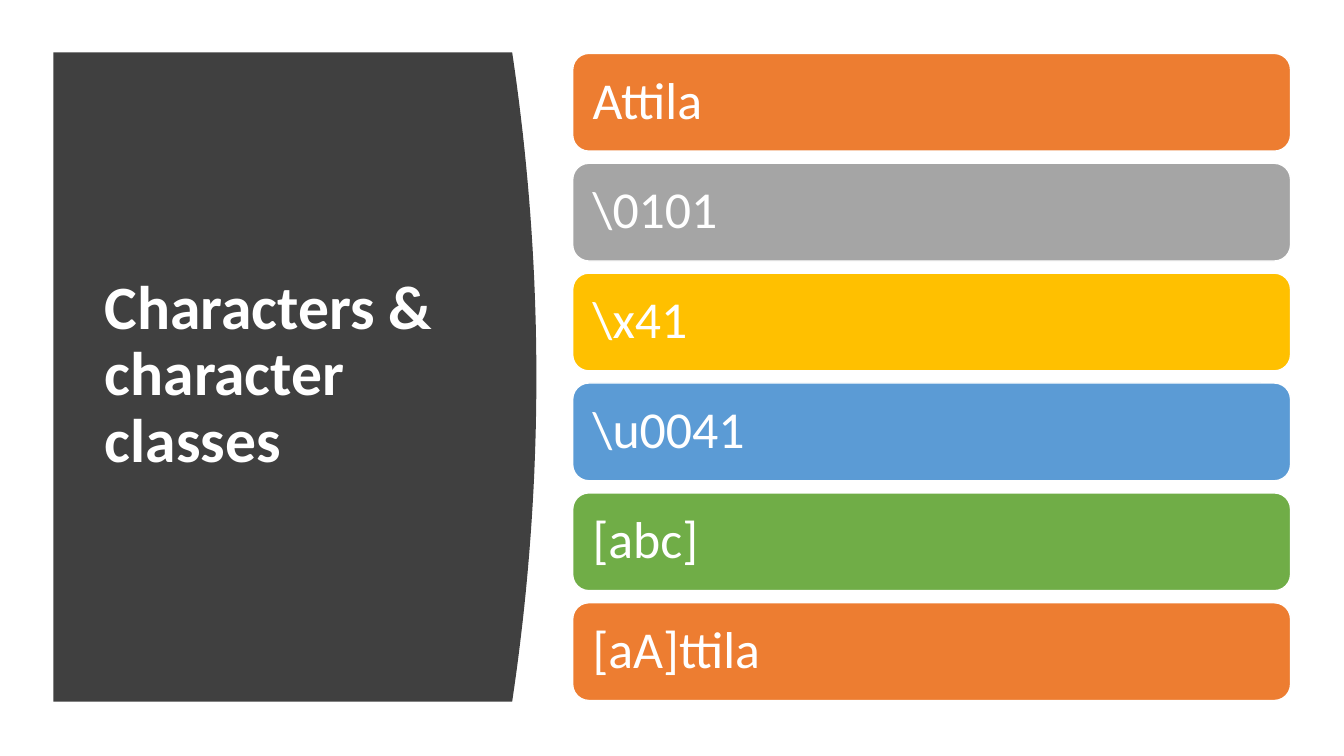
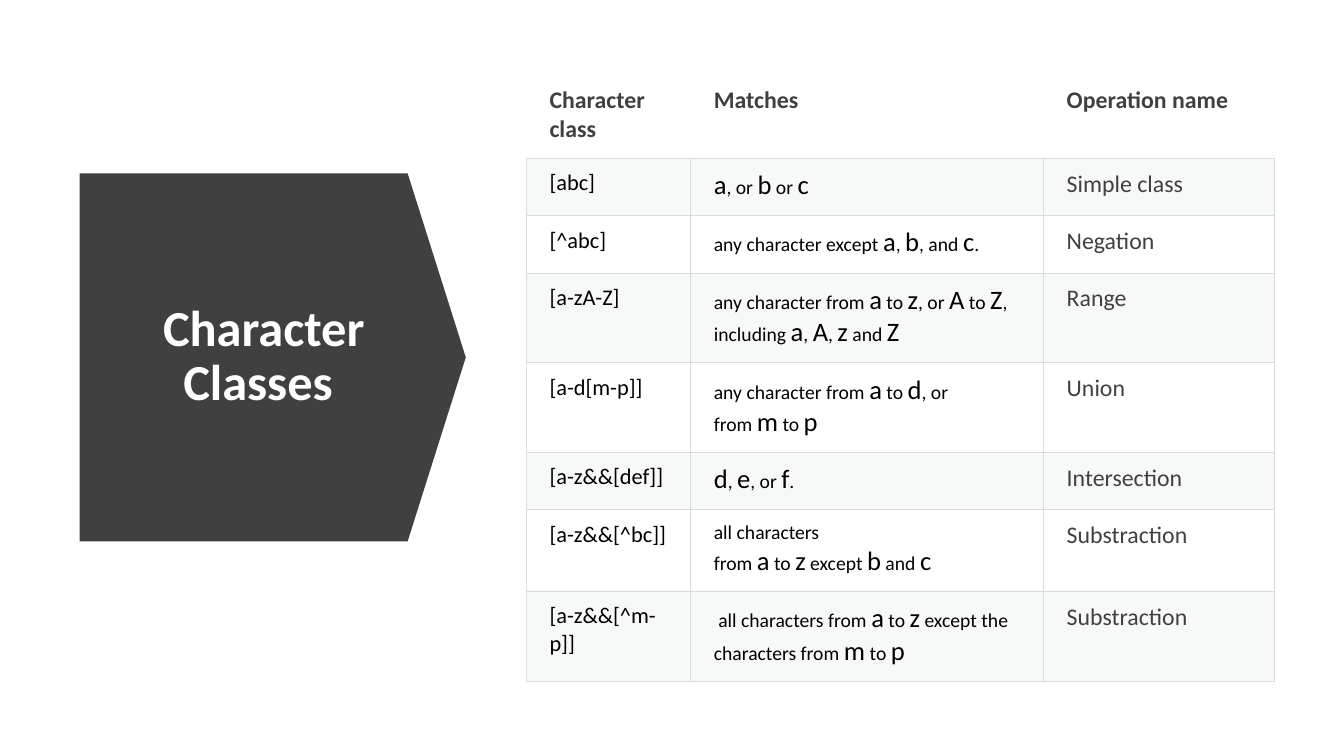
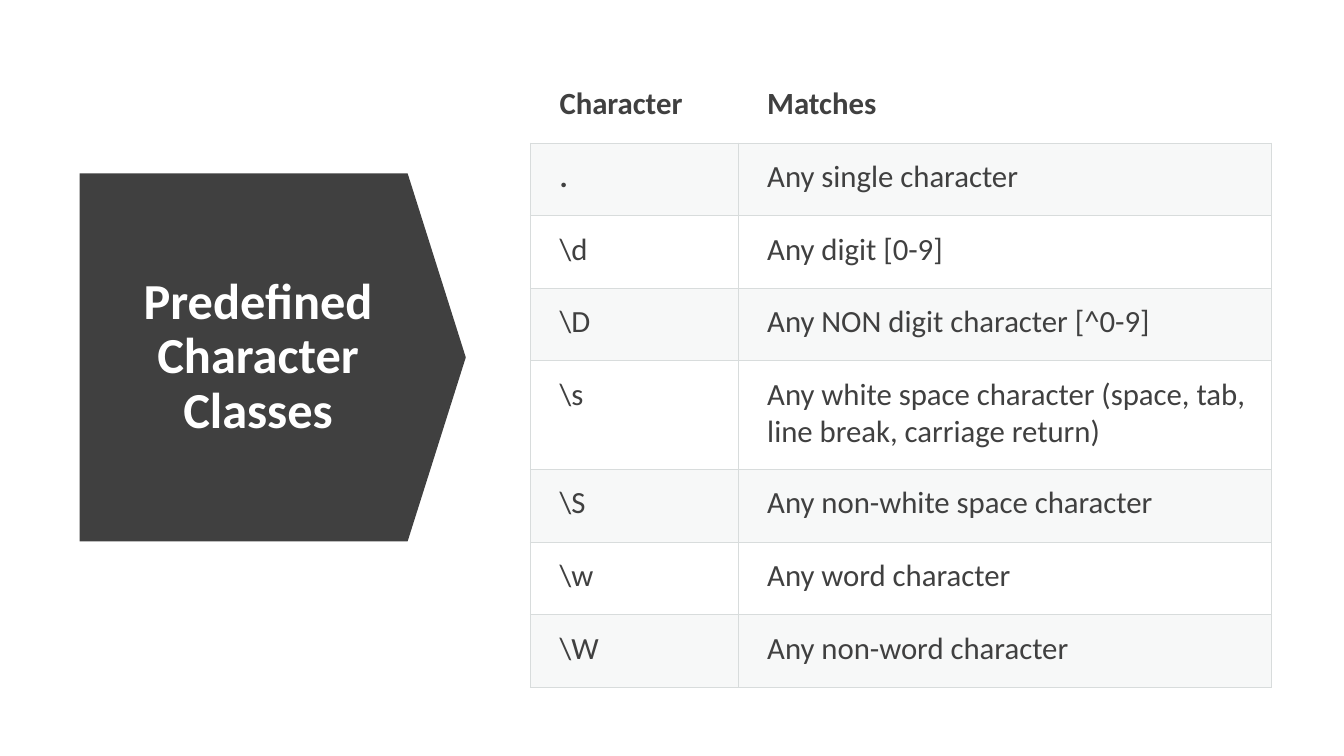
from dataclasses import dataclass

from lxml.etree import SubElement
from pptx import Presentation
from pptx.dml.color import RGBColor as RGB
from pptx.enum.shapes import MSO_SHAPE as SHAPE
from pptx.enum.text import MSO_ANCHOR as ANCHOR, MSO_AUTO_SIZE as AUTO, PP_ALIGN as ALIGN
from pptx.oxml.ns import qn
from pptx.util import Inches, Pt


@dataclass(frozen=True)
class Ink:
    """Size, colour and weight of a run."""
    size: int
    color: str
    bold: bool = False


@dataclass(frozen=True)
class Theme:
    """Colours and type styles shared by the slides."""
    font: str = "Calibri"
    white: str = "FFFFFF"
    dark: str = "404040"
    rule: str = "D8DCDC"
    band: str = "D8DEDC"
    band_alpha: int = 20000
    accents: tuple = ("ED7D31", "A5A5A5", "FFC000", "5B9BD5", "70AD47")
    panel_title: Ink = Ink(44, "FFFFFF", True)
    arrow_title: Ink = Ink(36, "FFFFFF", True)
    bar: Ink = Ink(37, "FFFFFF")
    code: Ink = Ink(16, "000000")
    prose: Ink = Ink(14, "000000")
    letter: Ink = Ink(19, "000000")
    label: Ink = Ink(17, "404040")
    label_head: Ink = Ink(17, "404040", True)
    entry: Ink = Ink(22, "404040")
    entry_bold: Ink = Ink(22, "404040", True)


class Deck:
    """Holds the theme and the current slide, and draws elements on it."""

    def __init__(self, theme):
        """Start an empty widescreen presentation."""
        self.theme = theme
        self.prs = Presentation()
        self.prs.slide_width, self.prs.slide_height = Inches(13.33), Inches(7.5)
        self.slide = None

    def add_slide(self):
        """Add a title-only slide and make it current."""
        self.slide = self.prs.slides.add_slide(self.prs.slide_layouts[5])

    def ink(self, r, ink):
        """Format a run."""
        r.font.name, r.font.size, r.font.bold = self.theme.font, Pt(ink.size), ink.bold
        r.font.color.rgb = RGB.from_string(ink.color)

    def paint(self, sp, color, line=None):
        """Give a shape a flat fill and an optional outline."""
        sp.shadow.inherit = False
        sp.fill.solid()
        sp.fill.fore_color.rgb = RGB.from_string(color)
        if line:
            sp.line.color.rgb = RGB.from_string(line)
            sp.line.width = Pt(1)
        else:
            sp.line.fill.background()

    def set_text(self, sp, text, ink, align):
        """Set one tightly spaced, vertically centred paragraph."""
        tf = sp.text_frame
        tf.word_wrap, tf.auto_size, tf.vertical_anchor = True, AUTO.NONE, ANCHOR.MIDDLE
        tf.text = text
        p = tf.paragraphs[0]
        p.alignment, p.line_spacing = align, 0.9
        self.ink(p.runs[0], ink)

    def title(self, text, box, ink, align):
        """Place the title placeholder in front of the shapes drawn so far."""
        sp = self.slide.shapes.title
        sp.left, sp.top, sp.width, sp.height = map(Inches, box)
        self.slide.shapes._spTree.append(sp._element)
        self.set_text(sp, text, ink, align)

    def curved_panel(self, left, top, right, bottom, bulge, steps=40):
        """Draw a dark panel whose right side bows outwards."""
        def edge(i):
            t = i / steps
            return Inches(right + bulge * (1 - (2 * t - 1) ** 2)), Inches(top + (bottom - top) * t)

        fb = self.slide.shapes.build_freeform(Inches(left), Inches(top))
        fb.add_line_segments([edge(i) for i in range(steps + 1)] + [(Inches(left), Inches(bottom))])
        self.paint(fb.convert_to_shape(), self.theme.dark)

    def title_arrow(self, text):
        """Draw the dark arrow block with its title."""
        sp = self.slide.shapes.add_shape(
            SHAPE.DOWN_ARROW, Inches(0.88), Inches(1.63), Inches(3.65), Inches(3.83))
        sp.rotation = 270
        sp.adjustments[0], sp.adjustments[1] = 1, 0.158
        self.paint(sp, self.theme.dark)
        self.title(text, (1.12, 2.15, 2.88, 2.79), self.theme.arrow_title, ALIGN.CENTER)

    def bars(self, texts, left, top, width, height, pitch):
        """Stack rounded bars, cycling through the accent colours."""
        accents = self.theme.accents
        for i, text in enumerate(texts):
            sp = self.slide.shapes.add_shape(
                SHAPE.ROUNDED_RECTANGLE, Inches(left), Inches(top + i * pitch),
                Inches(width), Inches(height))
            self.paint(sp, accents[i % len(accents)], self.theme.white)
            sp.text_frame.margin_left = sp.text_frame.margin_right = Inches(0.15)
            self.set_text(sp, text, self.theme.bar, ALIGN.LEFT)

    def cell_style(self, cell, head, banded):
        """Set the rules and the fill of a table cell."""
        tcPr = cell._tc.get_or_add_tcPr()
        for tag in ("a:lnL", "a:lnR", "a:lnT", "a:lnB"):
            ln = SubElement(tcPr, qn(tag), w=str(Pt(0.75)))
            if head and tag != "a:lnB":
                SubElement(ln, qn("a:noFill"))
            else:
                SubElement(SubElement(ln, qn("a:solidFill")), qn("a:srgbClr"), val=self.theme.rule)
        if banded:
            cell.fill.solid()
            cell.fill.fore_color.rgb = RGB.from_string(self.theme.band)
            clr = tcPr.find(qn("a:solidFill")).find(qn("a:srgbClr"))
            SubElement(clr, qn("a:alpha"), val=str(self.theme.band_alpha))
        else:
            cell.fill.background()

    def table(self, rows, left, top, widths, heights, insets, head_ink, inks):
        """Draw a banded table; *marked* text takes the second ink, ~ is a hard space."""
        table = self.slide.shapes.add_table(
            len(rows), len(widths), Inches(left), Inches(top),
            Inches(sum(widths)), Inches(sum(heights))).table
        table.first_row = table.horz_banding = False
        for col, width in zip(table.columns, widths):
            col.width = Inches(width)
        for i, (texts, height) in enumerate(zip(rows, heights)):
            table.rows[i].height = Inches(height)
            for j, text in enumerate(texts):
                cell = table.cell(i, j)
                self.cell_style(cell, i == 0, i % 2 == 1)
                cell.margin_left = Inches(insets[0])
                cell.margin_top = cell.margin_right = cell.margin_bottom = Inches(insets[1])
                pair = inks[j] if i else (head_ink, head_ink)
                p = cell.text_frame.paragraphs[0]
                for k, part in enumerate(text.replace("~", "\u00a0").split("*")):
                    if part:
                        r = p.add_run()
                        r.text = part
                        self.ink(r, pair[k % 2])


CLASSES = [
    ("Character class", "Matches", "Operation name"),
    ("[abc]", "*a*, or~*b*~or~*c*", "Simple class"),
    ("[^abc]", "any character except~*a*,~*b*, and~*c*.", "Negation"),
    ("[a-zA-Z]", "any character from~*a*~to~*z*, or~*A*~to~*Z*, including~*a*,~*A*,~*z*~and~*Z*",
     "Range"),
    ("[a-d[m-p]]", "any character from~*a*~to~*d*, or from~*m*~to~*p*", "Union"),
    ("[a-z&&[def]]", "*d*,~*e*, or~*f*.", "Intersection"),
    ("[a-z&&[^bc]]", "all characters from~*a*~to~*z*~except~*b*~and~*c*", "Substraction"),
    ("[a-z&&[^m-p]]", "~all characters from~*a*~to~*z*~except the characters from~*m*~to~*p*",
     "Substraction"),
]
PREDEFINED = [
    ("Character", "Matches"),
    ("*.*", "Any single character"),
    ("\\d", "Any digit [0-9]"),
    ("\\D", "Any NON digit character [^0-9]"),
    ("\\s", "Any white space character (space, tab, line break, carriage return)"),
    ("\\S", "Any non-white space character"),
    ("\\w", "Any word character"),
    ("\\W", "Any non-word character"),
]

theme = Theme()
deck = Deck(theme)

deck.add_slide()
deck.curved_panel(0.53, 0.52, 5.08, 6.96, bulge=0.24)
deck.title("Characters & character classes", (0.94, 1.11, 3.74, 5.24), theme.panel_title, ALIGN.LEFT)
deck.bars(["Attila", "\\0101", "\\x41", "\\u0041", "[abc]", "[aA]ttila"],
          left=5.68, top=0.53, width=7.12, height=0.97, pitch=1.09)

deck.add_slide()
deck.title_arrow(" Character Classes")
deck.table(CLASSES, 5.22, 0.74, (1.63, 3.5, 2.29),
           (0.83, 0.57, 0.57, 0.89, 0.89, 0.57, 0.81, 0.89), (0.23, 0.11), theme.label_head,
           [(theme.code, theme.code), (theme.prose, theme.letter), (theme.label, theme.label)])

deck.add_slide()
deck.title_arrow("Predefined Character Classes")
deck.table(PREDEFINED, 5.26, 0.7, (2.06, 5.29), [0.72] * 4 + [1.08] + [0.72] * 3, (0.29, 0.15),
           theme.entry_bold, [(theme.entry, theme.entry_bold)] * 2)

deck.prs.save("out.pptx")
